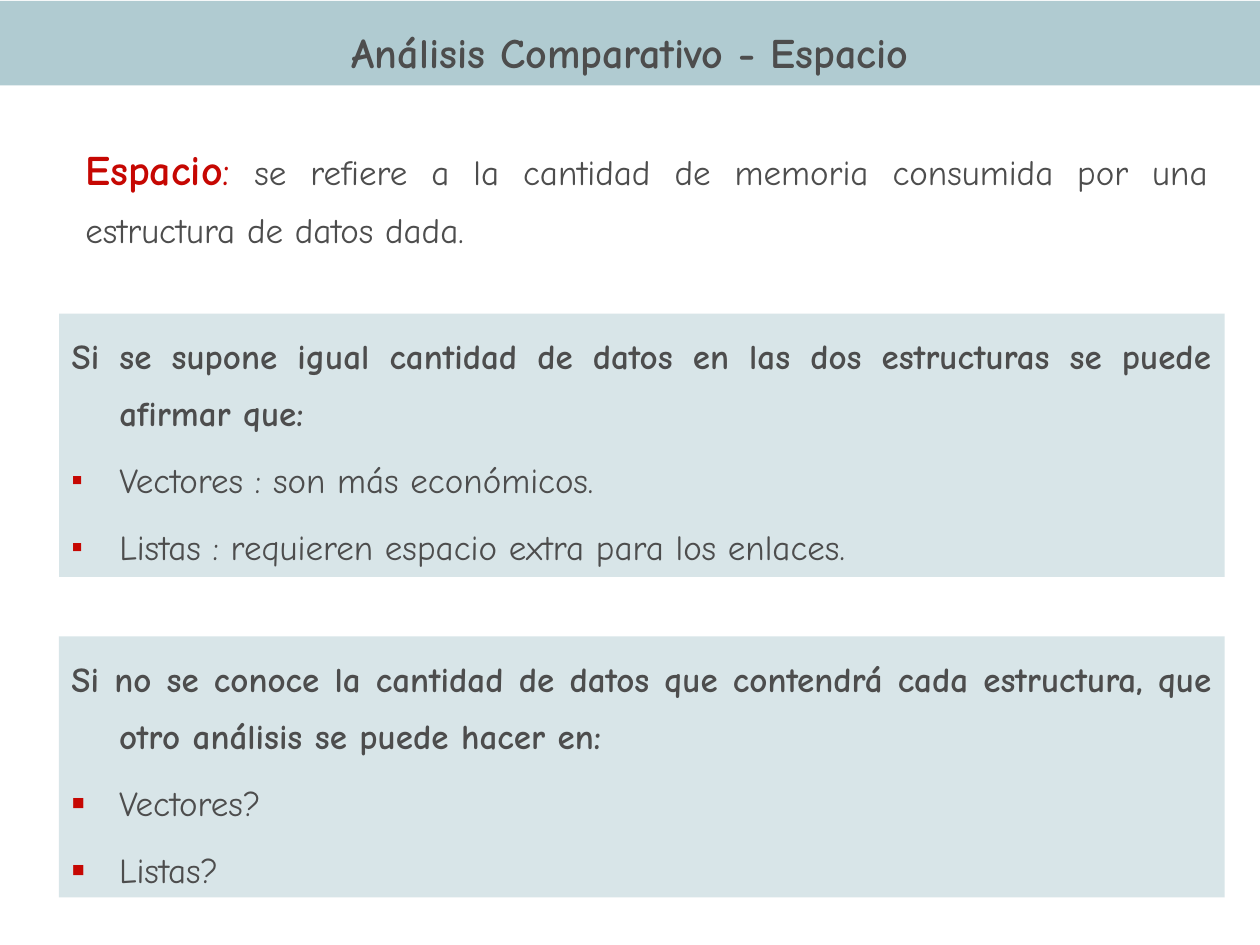
from lxml import etree
from pptx import Presentation
from pptx.dml.color import RGBColor
from pptx.enum.shapes import MSO_SHAPE
from pptx.enum.text import MSO_ANCHOR, MSO_AUTO_SIZE, PP_ALIGN
from pptx.oxml.ns import qn
from pptx.util import Cm, Pt

CENTER, JUSTIFY = PP_ALIGN.CENTER, PP_ALIGN.JUSTIFY
TOP, MIDDLE = MSO_ANCHOR.TOP, MSO_ANCHOR.MIDDLE
NO_AUTOFIT = MSO_AUTO_SIZE.NONE
RECT = MSO_SHAPE.RECTANGLE

THEME = {
    "font": "Comic Neue",
    "text": RGBColor(0x4D, 0x4D, 0x4D),
    "accent": RGBColor(0xC6, 0x07, 0x02),
    "band": RGBColor(0xB0, 0xCB, 0xD1),
    "panel": RGBColor(0xD8, 0xE5, 0xE8),
    "large": Pt(24),
    "normal": Pt(20),
}


def set_frame(sp, box, anchor, fill=None):
    sp.left, sp.top, sp.width, sp.height = [Cm(v) for v in box]
    if fill is not None:
        sp.fill.solid()
        sp.fill.fore_color.rgb = fill
    tf = sp.text_frame
    tf.word_wrap = True
    tf.auto_size = NO_AUTOFIT
    tf.vertical_anchor = anchor
    return tf


def add_paragraph(tf, runs, align=JUSTIFY, left=0, hanging=0, bullet_size=None):
    """Fill the empty first paragraph or add one; runs are (text, bold, size, colour)."""
    first = not tf.text
    p = tf.paragraphs[0] if first else tf.add_paragraph()
    pPr = p._p.get_or_add_pPr()
    pPr.set("marL", str(Cm(left)))
    pPr.set("indent", str(-Cm(hanging)))
    if bullet_size:
        color = etree.SubElement(pPr, qn("a:buClr"))
        etree.SubElement(color, qn("a:srgbClr"), val=str(THEME["accent"]))
        etree.SubElement(pPr, qn("a:buSzPct"), val=str(bullet_size * 1000))
        etree.SubElement(pPr, qn("a:buFont"), typeface=THEME["font"])
        etree.SubElement(pPr, qn("a:buChar"), char="▪")
    else:
        etree.SubElement(pPr, qn("a:buNone"))
    p.alignment = align
    p.line_spacing = 1.35
    p.space_before = Pt(0 if first else 6)
    for text, bold, size, color in runs:
        r = p.add_run()
        r.text = text
        formats = {"name": THEME["font"], "size": THEME[size], "bold": bold}
        for name, value in formats.items():
            setattr(r.font, name, value)
        r.font.color.rgb = THEME[color]


prs = Presentation()
prs.slide_width, prs.slide_height = Cm(25.4), Cm(19.05)
s = prs.slides.add_slide(prs.slide_layouts[1])

# Title band
tf = set_frame(s.shapes.title, (0, 0.02, 25.4, 1.7), MIDDLE, THEME["band"])
add_paragraph(tf, [("Análisis Comparativo - Espacio", True, "large", "text")], CENTER)

# Definition
sp = s.shapes.add_textbox(0, 0, 0, 0)
tf = set_frame(sp, (0.2, 2.41, 24.41, 2.77), TOP)
add_paragraph(tf, [
    ("Espacio", True, "large", "accent"),
    (":", False, "large", "accent"),
    (" se refiere a la cantidad de memoria consumida por una estructura de datos dada.",
     False, "normal", "text"),
], left=1.27)

# Panels: a bold statement followed by bullets
question_box = s.shapes.add_shape(RECT, 0, 0, 0, 0)
question_box.shadow.inherit = False
question_box.line.fill.background()
panels = [
    (s.placeholders[1], 6.32, 5.31, 80,
     "Si se supone igual cantidad de datos en las dos estructuras se puede afirmar que:",
     ["Vectores : son más económicos.",
      "Listas : requieren espacio extra para los enlaces."]),
    (question_box, 12.83, 5.26, 100,
     "Si no se conoce la cantidad de datos que contendrá cada estructura, "
     "que otro análisis se puede hacer en:",
     ["Vectores?", "Listas?"]),
]
for sp, top, height, bullet_size, statement, items in panels:
    tf = set_frame(sp, (1.19, top, 23.5, height), TOP, THEME["panel"])
    add_paragraph(tf, [(statement, True, "normal", "text")], left=0.96, hanging=0.96)
    for item in items:
        add_paragraph(tf, [(item, False, "normal", "text")],
                      left=0.96, hanging=0.96, bullet_size=bullet_size)

prs.save("out.pptx")
